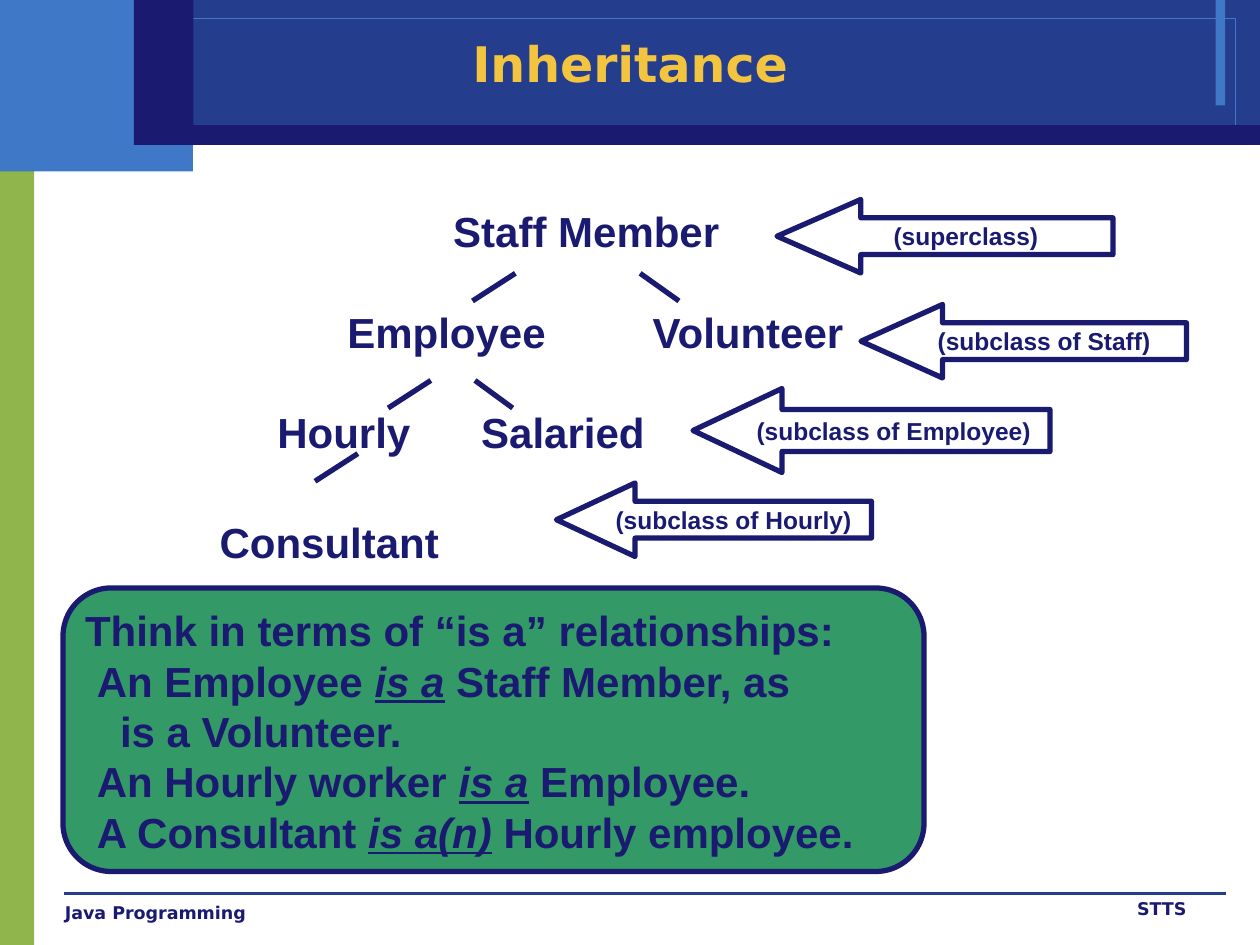
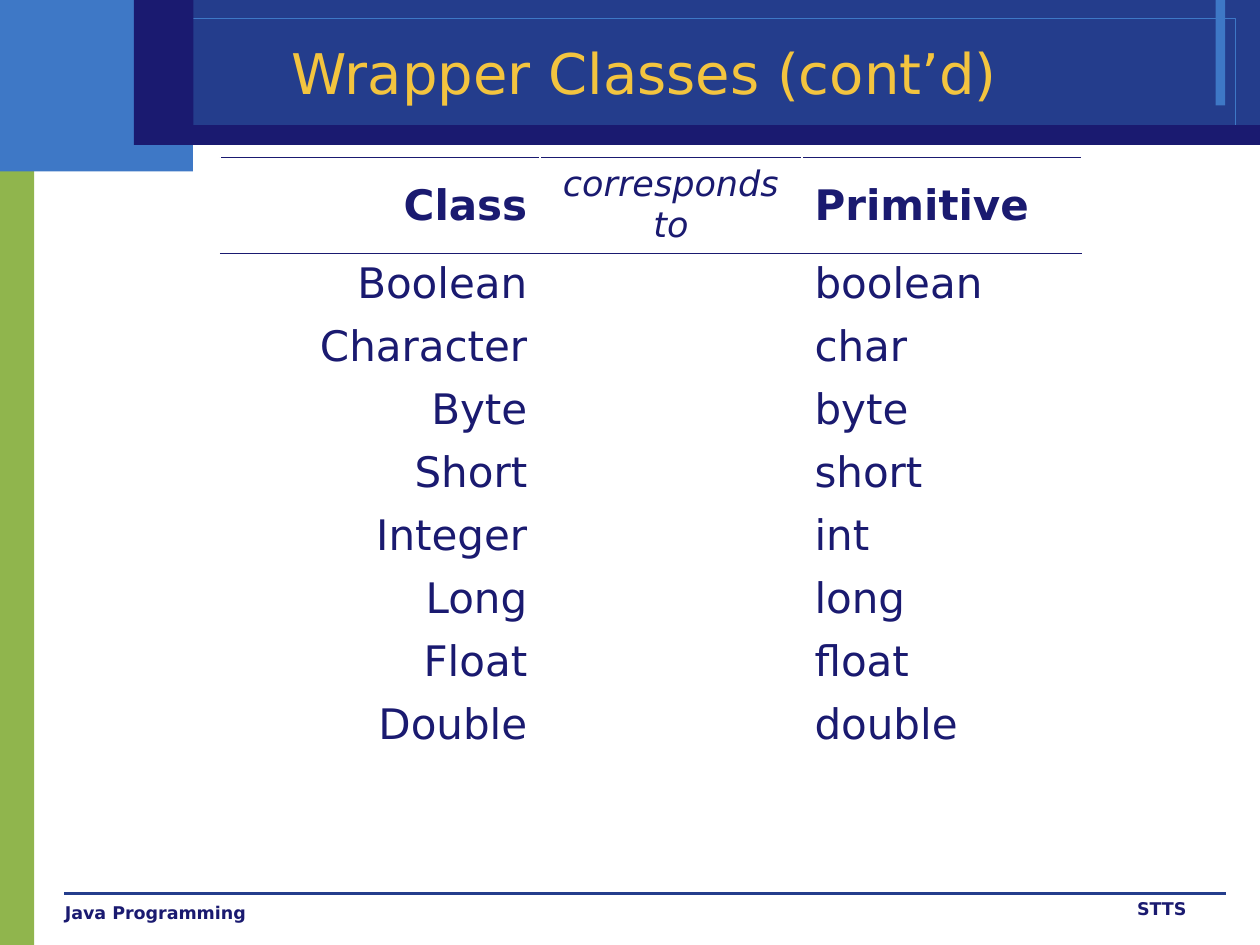
from lxml import etree
from pptx import Presentation
from pptx.dml.color import RGBColor
from pptx.enum.shapes import MSO_CONNECTOR, MSO_SHAPE
from pptx.enum.text import MSO_ANCHOR, MSO_AUTO_SIZE, PP_ALIGN
from pptx.oxml.ns import qn
from pptx.util import Pt

RECTANGLE = MSO_SHAPE.RECTANGLE
ROUNDED = MSO_SHAPE.ROUNDED_RECTANGLE
LEFT_ARROW = MSO_SHAPE.LEFT_ARROW
STRAIGHT = MSO_CONNECTOR.STRAIGHT
TOP, MIDDLE = MSO_ANCHOR.TOP, MSO_ANCHOR.MIDDLE
LEFT, CENTER, RIGHT = PP_ALIGN.LEFT, PP_ALIGN.CENTER, PP_ALIGN.RIGHT
NO_AUTOFIT = MSO_AUTO_SIZE.NONE

COLORS = {
    "navy": "1A1A70",
    "blue": "243D8C",
    "sky": "3E78C6",
    "lime": "90B54D",
    "green": "339966",
    "gold": "F3C43F",
}
DIAGRAM_FONT = "Arial"
DECK_FONT = "DejaVu Sans"
TITLE_ONLY = 5
LINE_HEIGHT = 28.8
LEVEL_GAP = 2 * LINE_HEIGHT

CLASS_NAMES = [  # name, left, tree level, extra drop
    ("Staff Member", 259, 0, 0),
    ("Employee", 198.5, 1, 0),
    ("Volunteer", 373, 1, 0),
    ("Hourly", 158.5, 2, 0),
    ("Salaried", 275, 2, 0),
    ("Consultant", 125.5, 3, 4.8),
]
BRANCHES = [  # parent end x, y, child end x
    (294.5, 156.2, 270),
    (365.8, 156.2, 388),
    (246.2, 217.4, 221.8),
    (271.4, 217.4, 293),
    (204.5, 259.2, 180),
]
BRANCH_DROP = 15.8
ARROW_LABELS = [  # label, left, top, width, height, head length / height
    ("(subclass of Hourly)", 318, 276, 180, 42, 1.07),
    ("(subclass of Employee)", 396, 222, 204, 48, 1.06),
    ("(subclass of Staff)", 492, 174, 186, 42, 1.11),
    ("(superclass)", 444, 114, 192, 42, 1.14),
]
RELATIONSHIPS = [  # before, stressed words, after
    ("An Employee ", "is a", " Staff Member, as\nis a Volunteer."),
    ("An Hourly worker ", "is a", " Employee."),
    ("A Consultant ", "is a(n)", " Hourly employee."),
]
WRAPPERS = [
    ("Boolean", "boolean"),
    ("Character", "char"),
    ("Byte", "byte"),
    ("Short", "short"),
    ("Integer", "int"),
    ("Long", "long"),
    ("Float", "float"),
    ("Double", "double"),
]


def color(name):
    return RGBColor.from_string(COLORS[name])


def add_span(para, text, size, font=DECK_FONT, ink="navy", bold=False,
             italic=False, underline=False):
    span = para.add_run()
    span.text = text
    span.font.name = font
    span.font.size = Pt(size)
    span.font.bold = bold
    span.font.italic = italic
    span.font.underline = underline
    span.font.color.rgb = color(ink)


def add_block(slide, kind, left, top, width, height, fill=None, line=None,
              line_width=0):
    block = slide.shapes.add_shape(kind, Pt(left), Pt(top), Pt(width), Pt(height))
    block.shadow.inherit = False
    if fill:
        block.fill.solid()
        block.fill.fore_color.rgb = color(fill)
    else:
        block.fill.background()
    if line:
        block.line.color.rgb = color(line)
        block.line.width = Pt(line_width)
    else:
        block.line.fill.background()
    return block


def add_line(slide, x1, y1, x2, y2, ink, width):
    line = slide.shapes.add_connector(STRAIGHT, Pt(x1), Pt(y1), Pt(x2), Pt(y2))
    line.line.color.rgb = color(ink)
    line.line.width = Pt(width)
    etree.SubElement(line.element.spPr, qn("a:effectLst"))


def add_text_frame(slide, left, top, width, height):
    box = slide.shapes.add_textbox(Pt(left), Pt(top), Pt(width), Pt(height))
    box.text_frame.word_wrap = True
    return box.text_frame


def move_frame_to_layout(slide, layout):
    """Draw the bands and footers and move them to the layout."""
    for placeholder in list(layout.placeholders):
        if placeholder.placeholder_format.idx != 0:
            layout.shapes.element.remove(placeholder.element)
    add_block(slide, RECTANGLE, 0, 77, 19.5, 463, "lime")
    add_block(slide, RECTANGLE, 0, 0, 110.3, 98, "sky")
    add_block(slide, RECTANGLE, 110.3, 0, 609.7, 82.8, "blue")
    add_block(slide, RECTANGLE, 694.6, 0, 5.5, 60.2, "sky")
    add_block(slide, RECTANGLE, 14.4, 10.5, 691.7, 61.2, line="sky")
    add_line(slide, 36.7, 510.5, 700.5, 510.5, "blue", 0)
    add_block(slide, RECTANGLE, 93.6, 71.5, 626.4, 11.3, "navy")
    add_block(slide, RECTANGLE, 76.5, 0, 34, 82.8, "navy")

    course = add_text_frame(slide, 30, 512, 198, 18)
    add_span(course.paragraphs[0], "Java Programming", 10, bold=True)
    school = add_text_frame(slide, 552, 509.8, 144, 18)
    school.margin_right = Pt(18)
    school.paragraphs[0].alignment = RIGHT
    add_span(school.paragraphs[0], "STTS", 10, bold=True)

    for shape in list(slide.shapes):
        if not shape.is_placeholder:
            layout.shapes.element.append(shape.element)


def set_title(slide, text, left, top, width, height, size, bold=False):
    title = slide.shapes.title
    title.left, title.top = Pt(left), Pt(top)
    title.width, title.height = Pt(width), Pt(height)
    frame = title.text_frame
    frame.auto_size = NO_AUTOFIT
    frame.vertical_anchor = MIDDLE
    frame.paragraphs[0].alignment = CENTER
    add_span(frame.paragraphs[0], text, size, ink="gold", bold=bold)


def add_class_name(slide, name, left, level, drop):
    frame = add_text_frame(slide, left, 113.8 + level * LEVEL_GAP + drop, 175, 36)
    frame.margin_left = frame.margin_right = 0
    para = frame.paragraphs[0]
    para.line_spacing = Pt(LINE_HEIGHT)
    add_span(para, name, 24, DIAGRAM_FONT, bold=True)


def add_arrow_label(slide, label, left, top, width, height, head):
    arrow = add_block(slide, LEFT_ARROW, left, top, width, height,
                      line="navy", line_width=3)
    arrow.adjustments[0] = 0.5
    arrow.adjustments[1] = head
    frame = arrow.text_frame
    frame.word_wrap = False
    frame.vertical_anchor = MIDDLE
    frame.paragraphs[0].alignment = CENTER
    add_span(frame.paragraphs[0], label, 14, DIAGRAM_FONT, bold=True)


def add_relationships(slide):
    panel = add_block(slide, ROUNDED, 36, 336, 492, 162, "green", "navy", 3)
    panel.adjustments[0] = 0.17
    frame = add_text_frame(slide, 41.5, 342, 480, 151.2)
    heading = frame.paragraphs[0]
    heading.line_spacing = Pt(LINE_HEIGHT)
    add_span(heading, "Think in terms of “is a” relationships:", 24,
             DIAGRAM_FONT, bold=True)
    for before, stressed, after in RELATIONSHIPS:
        para = frame.add_paragraph()
        para.line_spacing = Pt(LINE_HEIGHT)
        properties = para._p.get_or_add_pPr()
        properties.set("marL", str(Pt(20)))
        properties.set("indent", str(Pt(-13.3)))
        add_span(para, before, 24, DIAGRAM_FONT, bold=True)
        add_span(para, stressed, 24, DIAGRAM_FONT, bold=True, italic=True,
                 underline=True)
        for number, part in enumerate(after.split("\n")):
            if number:
                para.add_line_break()
            add_span(para, part, 24, DIAGRAM_FONT, bold=True)


def add_border(cell, side):
    border = etree.SubElement(cell._tc.get_or_add_tcPr(), qn(f"a:{side}"),
                              w=str(Pt(0.45)))
    fill = etree.SubElement(border, qn("a:solidFill"))
    etree.SubElement(fill, qn("a:srgbClr"), val=COLORS["navy"])


def fill_cell(cell, text, align, anchor=TOP, size=24, bold=False, italic=False):
    cell.vertical_anchor = anchor
    para = cell.text_frame.paragraphs[0]
    para.alignment = align
    add_span(para, text, size, bold=bold, italic=italic)


def add_wrapper_table(slide):
    widths = [182.5, 149.8, 159.7]
    heights = [54.9] + [36] * len(WRAPPERS)
    table = slide.shapes.add_table(len(heights), len(widths), Pt(126), Pt(90),
                                   Pt(sum(widths)), Pt(sum(heights))).table
    table.first_row = table.horz_banding = False
    for column, width in zip(table.columns, widths):
        column.width = Pt(width)
    for number, (row, height) in enumerate(zip(table.rows, heights)):
        row.height = Pt(height)
        for cell in row.cells:
            if number < 2:
                add_border(cell, "lnT")
            if number == 0:
                add_border(cell, "lnB")
            cell.fill.background()

    fill_cell(table.cell(0, 0), "Class", RIGHT, MIDDLE, bold=True)
    fill_cell(table.cell(0, 1), "corresponds to", CENTER, size=20, italic=True)
    fill_cell(table.cell(0, 2), "Primitive", LEFT, MIDDLE, bold=True)
    for number, (wrapper, primitive) in enumerate(WRAPPERS, start=1):
        fill_cell(table.cell(number, 0), wrapper, RIGHT)
        fill_cell(table.cell(number, 2), primitive, LEFT)


def build_inheritance(slide):
    set_title(slide, "Inheritance", 54, 12, 612, 48, 28, bold=True)
    for name, left, level, drop in CLASS_NAMES:
        add_class_name(slide, name, left, level, drop)
    for x1, y, x2 in BRANCHES:
        add_line(slide, x1, y, x2, y + BRANCH_DROP, "navy", 3)
    for arrow_label in ARROW_LABELS:
        add_arrow_label(slide, *arrow_label)
    add_relationships(slide)


def build_wrapper_classes(slide):
    set_title(slide, "Wrapper Classes (cont’d)", 59, 19, 619, 44.6, 32)
    add_wrapper_table(slide)


def main():
    deck = Presentation()
    deck.slide_width, deck.slide_height = Pt(720), Pt(540)
    layout = deck.slide_layouts[TITLE_ONLY]
    inheritance = deck.slides.add_slide(layout)
    move_frame_to_layout(inheritance, layout)
    build_inheritance(inheritance)
    build_wrapper_classes(deck.slides.add_slide(layout))
    deck.save("out.pptx")


if __name__ == "__main__":
    main()
